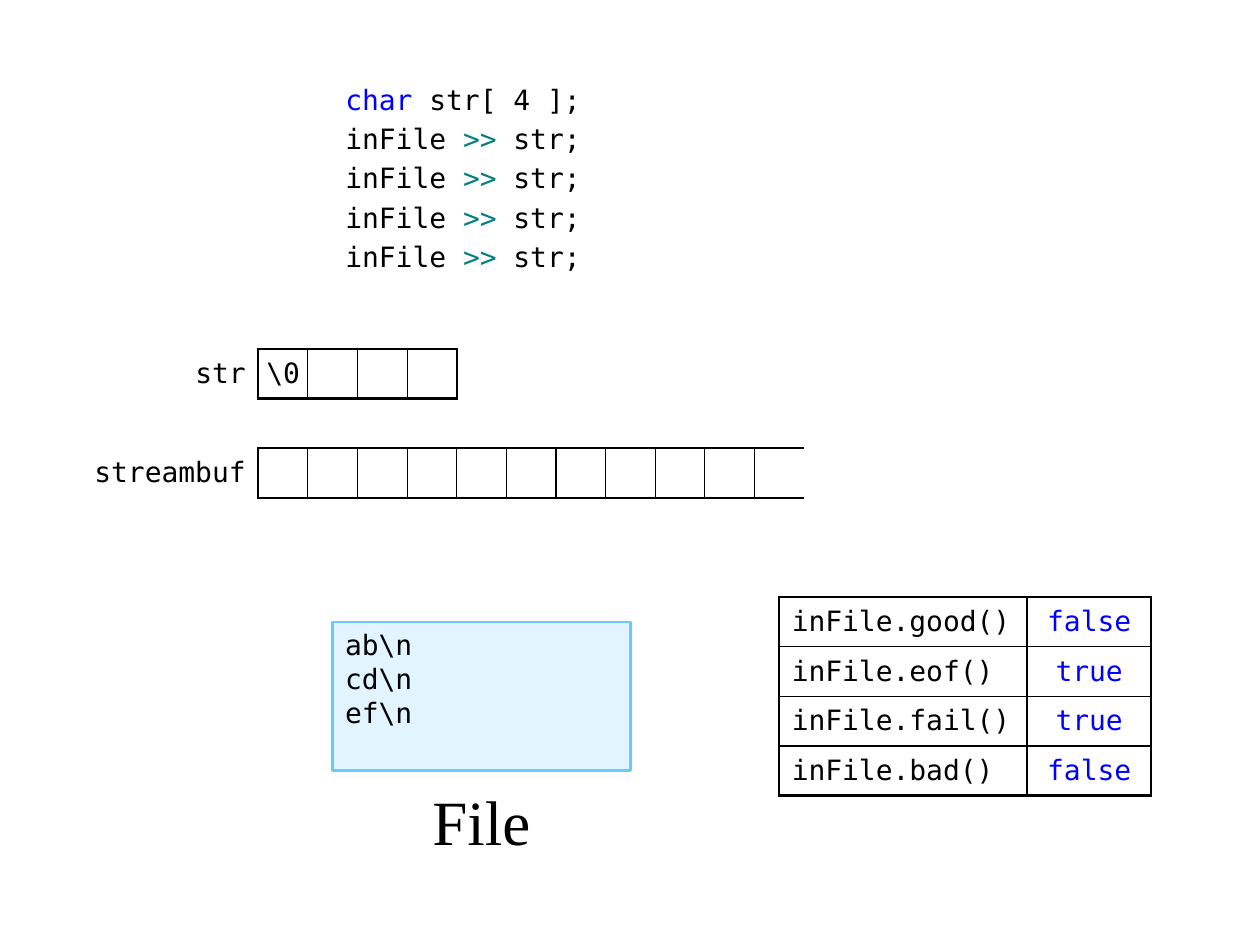
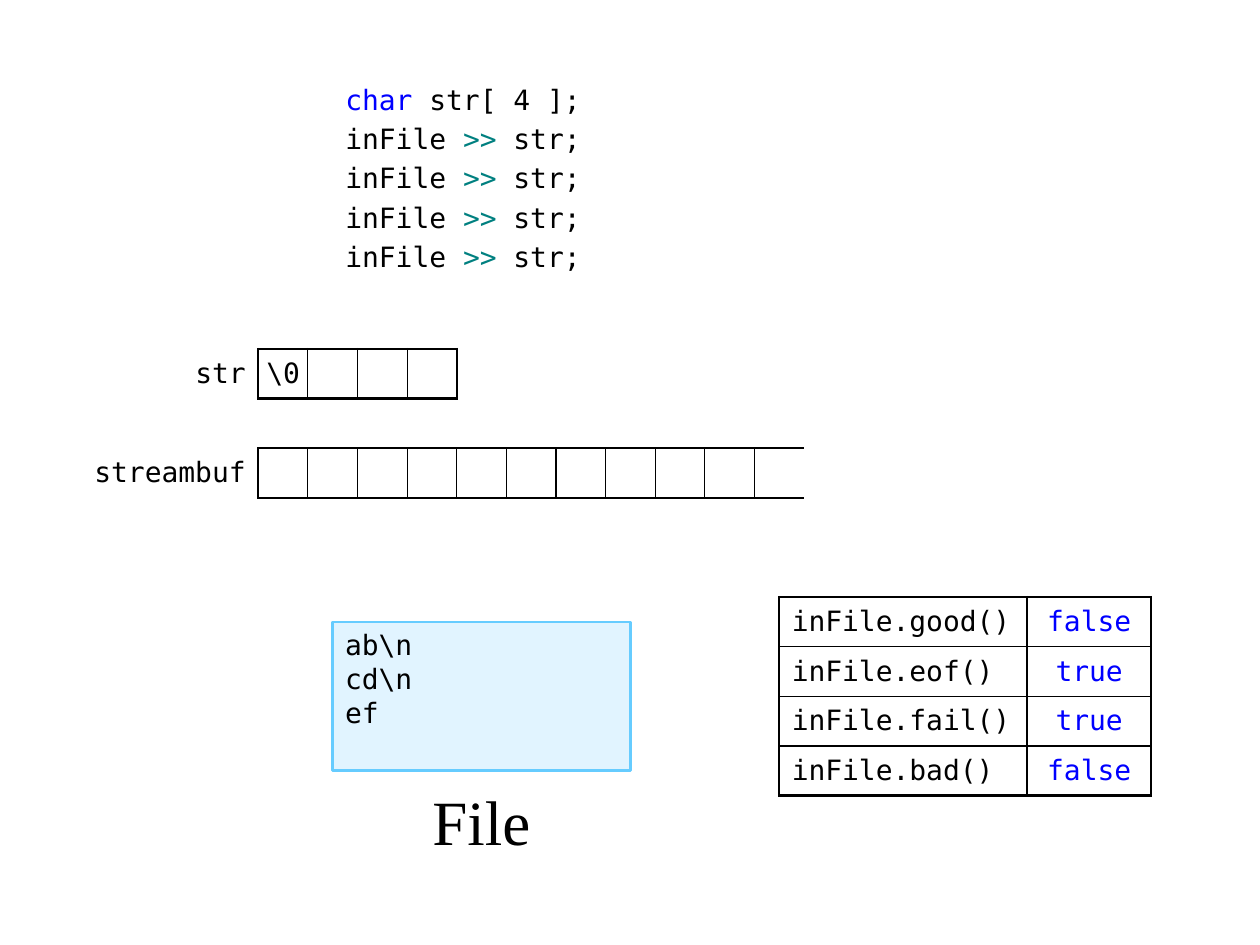
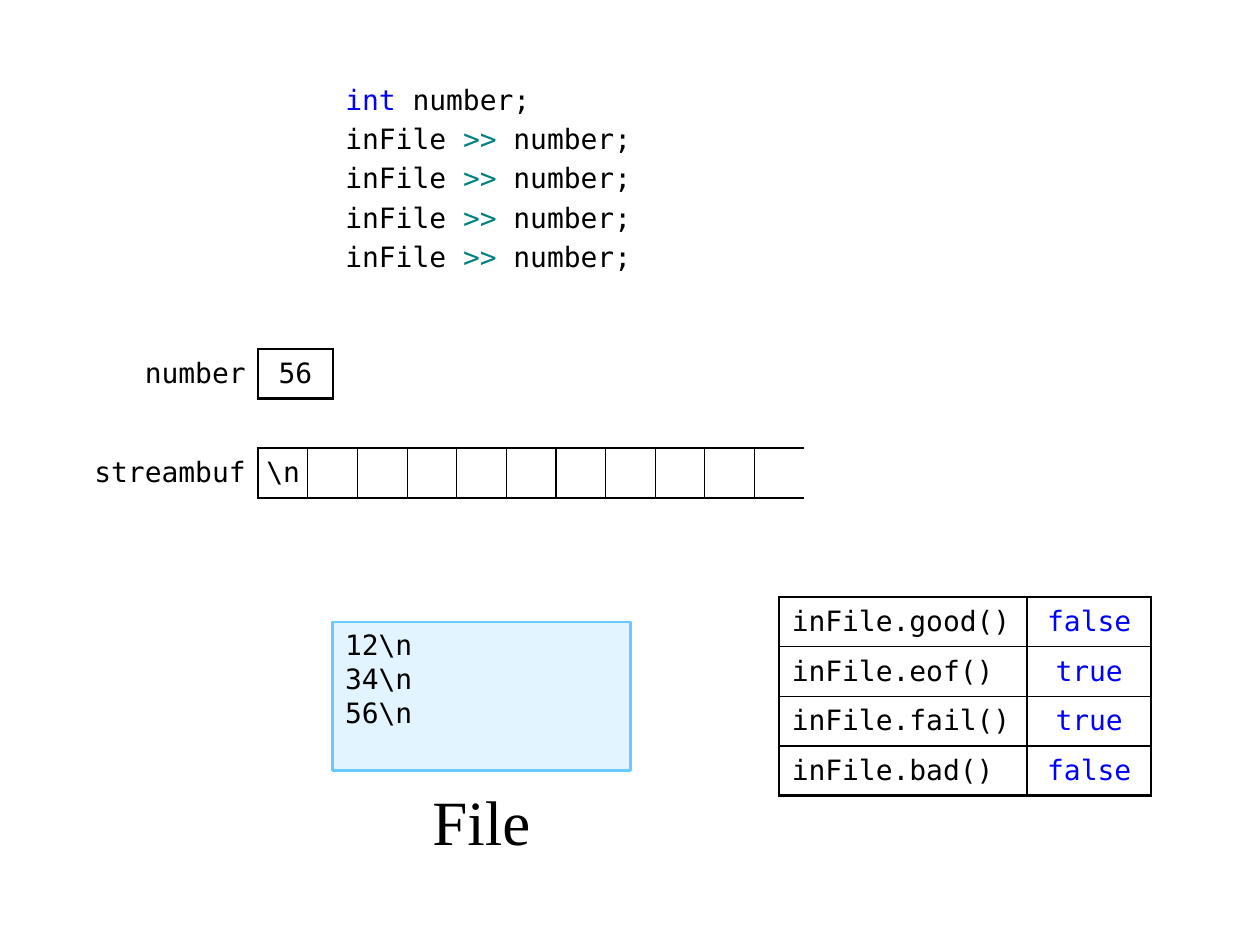
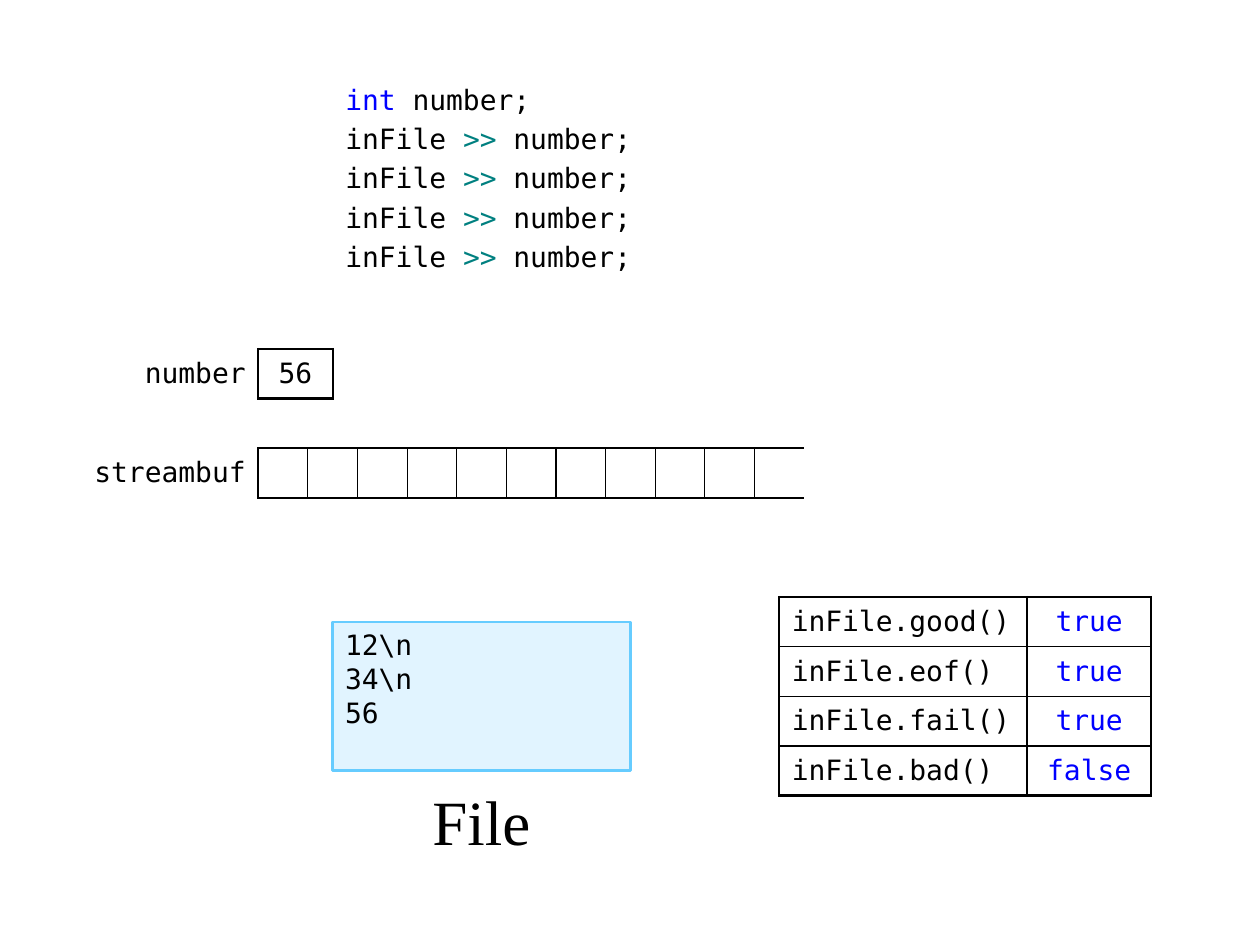
from lxml import etree
from pptx import Presentation
from pptx.dml.color import RGBColor
from pptx.enum.shapes import MSO_SHAPE
from pptx.enum.text import MSO_ANCHOR, MSO_AUTO_SIZE, PP_ALIGN
from pptx.oxml.ns import qn
from pptx.util import Cm, Inches, Pt

RECT = MSO_SHAPE.RECTANGLE
TOP, MIDDLE = MSO_ANCHOR.TOP, MSO_ANCHOR.MIDDLE
LEFT, CENTER, RIGHT = PP_ALIGN.LEFT, PP_ALIGN.CENTER, PP_ALIGN.RIGHT
NO_FIT = MSO_AUTO_SIZE.NONE

COLORS = {
    "ink": "000000",
    "keyword": "0000FF",
    "operator": "008080",
    "file_fill": "E1F4FF",
    "file_line": "66CCFF",
}
MONO, SERIF = "DejaVu Sans Mono", "Times New Roman"
THICK, MEDIUM, THIN = 1.5, 1, 0.75

# One-centimetre grid; its origin is the top left corner of the variable's memory
UNIT = Cm(1)
ORIGIN_X, ORIGIN_Y = Inches(2.05), Inches(2.77)


def rgb(name):
    return RGBColor.from_string(COLORS[name])


def place(col, row, cols, rows):
    """Turn grid columns and rows into left, top, width, height."""
    return (int(ORIGIN_X + col * UNIT), int(ORIGIN_Y + row * UNIT),
            int(cols * UNIT), int(rows * UNIT))


def write(tf, lines, size=16, font=MONO, color="ink", align=LEFT):
    """Write lines; each is a string or a list of (text, colour) runs."""
    for i, line in enumerate(lines):
        p = tf.paragraphs[0] if i == 0 else tf.add_paragraph()
        p.alignment = align
        for text, run_color in [(line, color)] if isinstance(line, str) else line:
            r = p.add_run()
            r.text = text
            r.font.name, r.font.size, r.font.bold = font, Pt(size), False
            r.font.color.rgb = rgb(run_color)


# Tables

def add_grid(slide, col, row, widths, rows=1):
    sp = slide.shapes.add_table(rows, len(widths), *place(col, row, sum(widths), rows))
    table = sp.table
    table.first_row = table.horz_banding = False
    for column, width in zip(table.columns, widths):
        column.width = int(width * UNIT)
    return table


def set_cell(cell, text="", margins=(0, 0, 0, 0), borders=(0, 0, 0, 0), **style):
    """Margins are left, top, right, bottom; borders left, right, top, bottom."""
    (cell.margin_left, cell.margin_top,
     cell.margin_right, cell.margin_bottom) = map(Inches, margins)
    cell.vertical_anchor = MIDDLE
    tc_pr = cell._tc.get_or_add_tcPr()
    for side, width in zip("LRTB", borders):
        ln = etree.SubElement(tc_pr, qn(f"a:ln{side}"), w=str(Pt(width)))
        if width:
            fill = etree.SubElement(ln, qn("a:solidFill"))
            etree.SubElement(fill, qn("a:srgbClr"), val=COLORS["ink"])
        else:
            etree.SubElement(ln, qn("a:noFill"))
    cell.fill.background()
    if text:
        write(cell.text_frame, [text], **style)


def add_memory(slide, row, label, label_cols, values, cell_cols=1, closed=True):
    """A labelled row of memory cells; an open row has no right edge."""
    count = len(values)
    table = add_grid(slide, -label_cols, row, [label_cols] + [cell_cols] * count)
    set_cell(table.cell(0, 0), label, margins=(0, 0, 0.1, 0),
             borders=(0, THICK, 0, 0), align=RIGHT)
    for i, value in enumerate(values):
        left = THICK if i == 0 else THIN
        right = THIN if i < count - 1 else THICK if closed else 0
        set_cell(table.cell(0, i + 1), value, align=CENTER,
                 borders=(left, right, THICK, THICK))


def add_states(slide, states):
    table = add_grid(slide, 10.5, 5, [5, 2.5], rows=len(states))
    margins = (0.1, 0.04, 0.1, 0.04)
    for i, (name, value) in enumerate(states.items()):
        top = THICK if i == 0 else MEDIUM
        bottom = THICK if i == len(states) - 1 else MEDIUM
        set_cell(table.cell(i, 0), f"inFile.{name}()", margins=margins,
                 borders=(THICK, MEDIUM, top, bottom))
        set_cell(table.cell(i, 1), value, margins=margins, color="keyword",
                 align=CENTER, borders=(MEDIUM, THICK, top, bottom))


# Code and file

def add_code(slide, keyword, declaration, variable):
    sp = slide.placeholders[1]
    sp.left, sp.top, sp.width, sp.height = place(1.5, -5.5, 6.5, 4.5)
    tf = sp.text_frame
    tf.auto_size, tf.vertical_anchor = NO_FIT, TOP
    tf.margin_right = Inches(0.08)
    read = [("inFile ", "ink"), (">>", "operator"), (f" {variable};", "ink")]
    write(tf, [[(keyword, "keyword"), (f" {declaration};", "ink")]] + [read] * 4)
    for p in tf.paragraphs:
        p_pr = p._p.get_or_add_pPr()
        p_pr.set("marL", "0")
        p_pr.set("indent", "0")
        etree.SubElement(p_pr, qn("a:buNone"))


def add_file(slide, lines):
    sp = slide.shapes.add_shape(RECT, *place(1.5, 5.5, 6, 3))
    sp.shadow.inherit = False
    sp.fill.solid()
    sp.fill.fore_color.rgb = rgb("file_fill")
    sp.line.color.rgb = rgb("file_line")
    sp.line.width = Pt(THICK)
    sp.text_frame.word_wrap = False
    sp.text_frame.vertical_anchor = TOP
    write(sp.text_frame, lines)

    caption = slide.shapes.add_textbox(*place(3, 8.5, 3, 2))
    tf = caption.text_frame
    tf.word_wrap, tf.vertical_anchor = True, MIDDLE
    write(tf, ["File"], size=36, font=SERIF, align=CENTER)


def add_stream_slide(prs, code, variable, buffer, lines, good):
    slide = prs.slides.add_slide(prs.slide_layouts[1])
    title = slide.shapes.title
    title.element.getparent().remove(title.element)
    add_code(slide, *code)
    add_memory(slide, 2, "streambuf", 3.5, [buffer] + [""] * 10, closed=False)
    add_memory(slide, 0, **variable)
    add_file(slide, lines)
    add_states(slide, {"good": good, "eof": "true", "fail": "true", "bad": "false"})


def main():
    prs = Presentation()
    prs.slide_width, prs.slide_height = Inches(10), Inches(7.5)

    # Reading strings, with and without a final line break
    code = ("char", "str[ 4 ]", "str")
    variable = dict(label="str", label_cols=1.5, values=[r"\0", "", "", ""])
    for last in (r"ef\n", "ef"):
        add_stream_slide(prs, code, variable, "", [r"ab\n", r"cd\n", last], "false")

    # Reading numbers, with and without a final line break
    code = ("int", "number", "number")
    variable = dict(label="number", label_cols=3, values=["56"], cell_cols=1.5)
    for last, buffer, good in ((r"56\n", r"\n", "false"), ("56", "", "true")):
        add_stream_slide(prs, code, variable, buffer, [r"12\n", r"34\n", last], good)

    prs.save("out.pptx")


if __name__ == "__main__":
    main()
